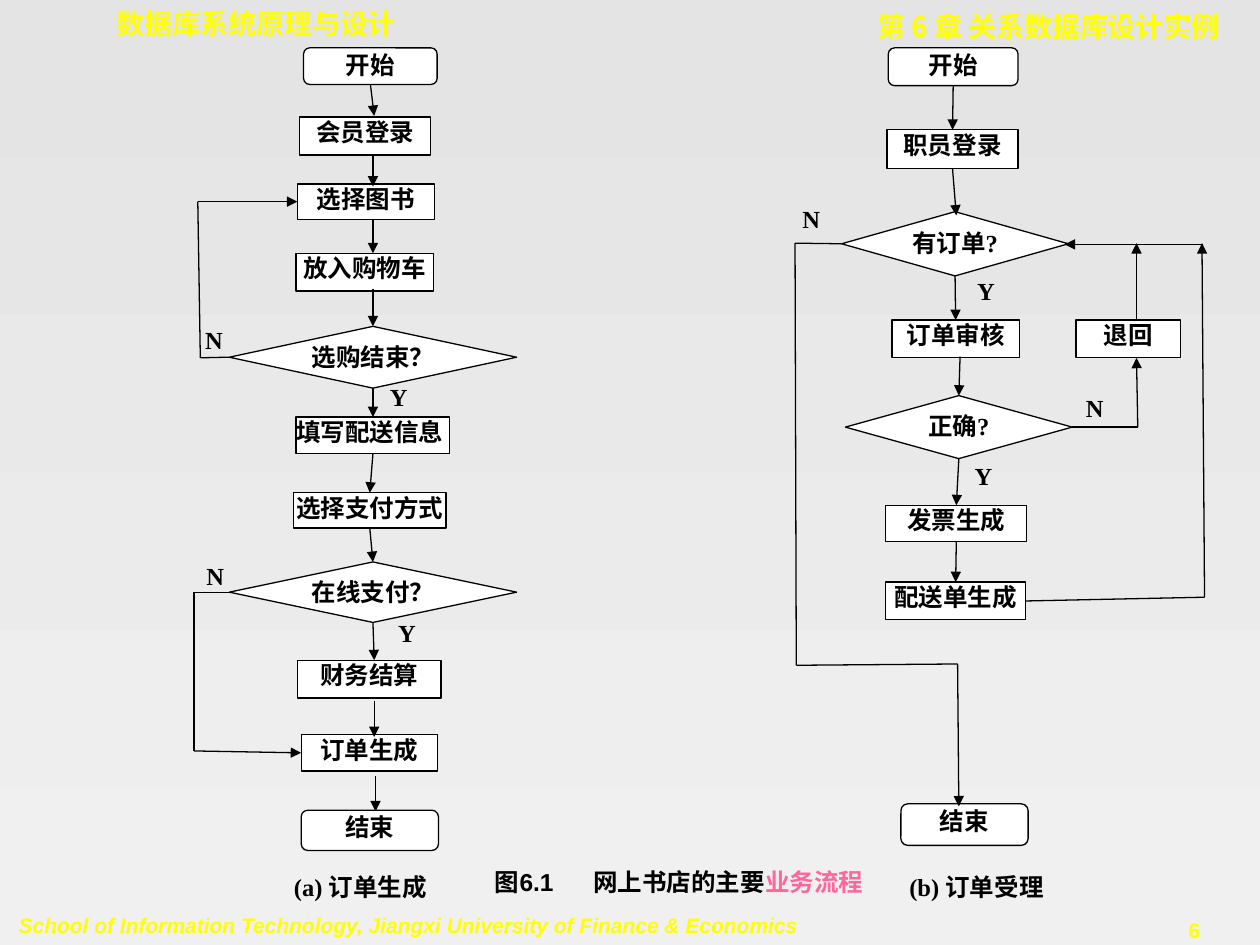
from itertools import pairwise
from lxml.etree import SubElement
from pptx import Presentation
from pptx.dml.color import RGBColor
from pptx.enum.shapes import MSO_CONNECTOR as CONN, MSO_SHAPE as SHAPE
from pptx.enum.text import MSO_ANCHOR, MSO_AUTO_SIZE, PP_ALIGN as AL
from pptx.oxml.ns import qn
from pptx.util import Inches, Pt

# ---- Content ----
YELLOW, BLACK, WHITE, PINK = "FFFF00", "000000", "FFFFFF", "FF6699"
CJK, SERIF, SANS = "Noto Sans CJK SC", "Times New Roman", "Arial"
BACKGROUND = ("E4E4E4", "F0F0F0")
KINDS = {"end": SHAPE.FLOWCHART_ALTERNATE_PROCESS, "step": SHAPE.RECTANGLE,
         "test": SHAPE.FLOWCHART_DECISION}

# kind, text, left, top, width, height
NODES = [
    # (a) placing an order
    ("end", "开始", 2.41, 0.38, 1.06, 0.29),
    ("step", "会员登录", 2.38, 0.93, 1.04, 0.3),
    ("step", "选择图书", 2.36, 1.46, 1.09, 0.28),
    ("step", "放入购物车", 2.35, 2.01, 1.09, 0.3),
    ("test", "选购结束？", 1.82, 2.59, 2.28, 0.49),
    ("step", "填写配送信息", 2.35, 3.31, 1.22, 0.29),
    ("step", "选择支付方式", 2.33, 3.91, 1.21, 0.28),
    ("test", "在线支付？", 1.82, 4.46, 2.28, 0.48),
    ("step", "财务结算", 2.36, 5.24, 1.14, 0.3),
    ("step", "订单生成", 2.39, 5.83, 1.08, 0.29),
    ("end", "结束", 2.39, 6.43, 1.09, 0.32),
    # (b) handling an order
    ("end", "开始", 7.05, 0.38, 1.03, 0.3),
    ("step", "职员登录", 7.04, 1.03, 1.04, 0.31),
    ("test", "有订单?", 6.68, 1.68, 1.8, 0.51),
    ("step", "订单审核", 7.08, 2.54, 1.01, 0.3),
    ("test", "正确?", 6.71, 3.14, 1.8, 0.5),
    ("step", "发票生成", 7.03, 4.01, 1.12, 0.29),
    ("step", "配送单生成", 7.03, 4.62, 1.11, 0.3),
    ("end", "结束", 7.15, 6.38, 1.01, 0.33),
    ("step", "退回", 8.54, 2.54, 0.83, 0.3),
]
LEFT_ALIGNED = "填写配送信息"

# Downward arrows: x, top, bottom
DOWN = [
    (2.97, 0.69, 0.92), (2.96, 1.22, 1.48), (2.96, 1.74, 2.01), (2.96, 2.29, 2.59),
    (2.96, 3.1, 3.34), (2.96, 3.62, 3.91), (2.96, 4.19, 4.48), (2.97, 4.95, 5.24),
    (2.97, 5.56, 5.85), (2.98, 6.16, 6.44),
    (7.59, 0.7, 1.05), (7.59, 1.36, 1.71), (7.6, 2.18, 2.54), (7.62, 2.83, 3.17),
    (7.61, 3.62, 4.02), (7.6, 4.3, 4.64),
]
# Bent routes, arrowhead at the last point
ROUTES = [
    [(1.83, 2.84), (1.59, 2.84), (1.57, 1.6), (2.35, 1.61)],
    [(1.85, 4.7), (1.54, 4.7), (1.54, 5.96), (2.37, 5.97)],
    [(6.67, 1.93), (6.31, 1.93), (6.32, 5.28), (7.6, 5.27), (7.61, 6.4)],
    [(8.5, 3.38), (9.03, 3.39), (9.02, 2.84)],
    [(9.02, 2.54), (9.02, 1.93)],
    [(8.13, 4.75), (9.56, 4.74), (9.54, 1.93)],
    [(9.55, 1.94), (8.45, 1.94)],
]
# Branch labels: text, left, top, width, alignment
LABELS = [
    ("N", 1.53, 2.53, 0.57, AL.JUSTIFY), ("Y", 2.88, 2.98, 0.57, AL.CENTER),
    ("N", 1.54, 4.4, 0.57, AL.JUSTIFY), ("Y", 2.83, 4.86, 0.57, AL.RIGHT),
    ("N", 6.27, 1.57, 0.47, AL.JUSTIFY), ("Y", 7.54, 2.14, 0.57, AL.CENTER),
    ("N", 8.52, 3.07, 0.49, AL.JUSTIFY), ("Y", 7.52, 3.61, 0.57, AL.CENTER),
]
# Running heads, footer and page number: text, box, alignment, format, wrap, space before
FOOT = {"size": Pt(12), "name": SANS}
HEAD = {"size": Pt(16), "name": "DejaVu Sans Mono"}
MARGINS = [
    ("数据库系统原理与设计", (0.83, 0, 3.66, 0.37), AL.LEFT, HEAD, True, 10),
    ("第 6 章 关系数据库设计实例", (5.43, 0.03, 4.35, 0.37), AL.RIGHT,
     HEAD | {"name": CJK}, True, 10),
    ("School of Information Technology, Jiangxi University of Finance & Economics",
     (0.05, 7.19, 6.4, 0.3), AL.LEFT, FOOT | {"italic": True}, False, 7.5),
    ("6", (8.98, 7.23, 1, 0.3), AL.CENTER, FOOT, False, 7.5),
]
SUBTITLES = [("(a) 订单生成", 2.02), ("(b) 订单受理", 6.91)]
CAPTION = [("图6.1\t网上书店的主要", BLACK), ("业务流程", PINK)]
BODY = {"size": Pt(14), "name": SERIF}


# ---- Helpers ----
def rgb(value):
    return RGBColor.from_string(value)


def write(sp, runs, align, fmt, inset=True, wrap=True, grow=False, before=0):
    tf = sp.text_frame
    frame = {"word_wrap": wrap, "vertical_anchor": MSO_ANCHOR.TOP,
             "auto_size": MSO_AUTO_SIZE.SHAPE_TO_FIT_TEXT if grow else MSO_AUTO_SIZE.NONE}
    if not inset:
        frame |= {f"margin_{side}": 0 for side in ("left", "top", "right", "bottom")}
    for key, value in frame.items():
        setattr(tf, key, value)
    p = tf.paragraphs[0]
    p.alignment, p.space_before = align, Pt(before)
    for text, color in runs:
        r = p.add_run()
        r.text = text
        for key, value in ({"bold": True} | fmt).items():
            setattr(r.font, key, value)
        r.font.color.rgb = rgb(color)
        SubElement(r.font._element, qn("a:ea"), typeface=CJK)
    return p


def textbox(box):
    return s.shapes.add_textbox(*map(Inches, box))


def add_node(kind, text, *box):
    sp = s.shapes.add_shape(KINDS[kind], *map(Inches, box))
    sp.shadow.inherit = False
    sp.fill.solid()
    sp.fill.fore_color.rgb = rgb(WHITE)
    sp.line.color.rgb = rgb(BLACK)
    sp.line.width = Pt(0.75)
    align = AL.JUSTIFY if text == LEFT_ALIGNED else AL.CENTER
    write(sp, [(text, BLACK)], align, BODY, inset=False)
    return sp


def site_at(point, tolerance=0.03):
    """Find the node and side whose middle lies at the point."""
    for sp, (_, _, x, y, w, h) in zip(nodes, NODES):
        sides = [(x + w / 2, y), (x, y + h / 2), (x + w / 2, y + h), (x + w, y + h / 2)]
        for i, side in enumerate(sides):
            if all(abs(a - b) <= tolerance for a, b in zip(point, side)):
                return sp, i
    return None


def add_line(start, end, arrow):
    c = s.shapes.add_connector(CONN.STRAIGHT, *map(Inches, (*start, *end)))
    c.line.color.rgb = rgb(BLACK)
    c.line.width = Pt(0.75)
    if arrow:
        SubElement(c.line._get_or_add_ln(), qn("a:tailEnd"), type="triangle", w="med", len="med")
    SubElement(c._element.spPr, qn("a:effectLst"))
    for join, point in ((c.begin_connect, start), (c.end_connect, end)):
        site = site_at(point)
        if site:
            join(*site)


# ---- Slide and background ----
prs = Presentation()
prs.slide_width, prs.slide_height = Inches(10), Inches(7.5)
s = prs.slides.add_slide(prs.slide_layouts[6])
fill = s.background.fill
fill.gradient()
fill.gradient_angle = 270
for stop, color in zip(fill.gradient_stops, BACKGROUND):
    stop.color.rgb = rgb(color)

# ---- Running heads and footer ----
for text, box, align, fmt, wrap, before in MARGINS:
    write(textbox(box), [(text, YELLOW)], align, fmt, wrap=wrap, grow=True, before=before)

# ---- Flowcharts ----
nodes = [add_node(*node) for node in NODES]
for route in [[(x, top), (x, bottom)] for x, top, bottom in DOWN] + ROUTES:
    for start, end in pairwise(route):
        add_line(start, end, arrow=end == route[-1])
for text, x, y, w, align in LABELS:
    write(textbox((x, y, w, 0.44)), [(text, BLACK)], align, BODY)

# ---- Subtitles and caption ----
for text, x in SUBTITLES:
    write(textbox((x, 6.92, 1.68, 0.33)), [(text, BLACK)], AL.CENTER, BODY, inset=False)
p = write(textbox((3.83, 6.83, 3.25, 0.34)), CAPTION, AL.LEFT, BODY | {"name": SANS},
          grow=True, before=8.8)
tabs = SubElement(p._p.get_or_add_pPr(), qn("a:tabLst"))
SubElement(tabs, qn("a:tab"), pos=str(Inches(0.78)), algn="l")

prs.save("out.pptx")
